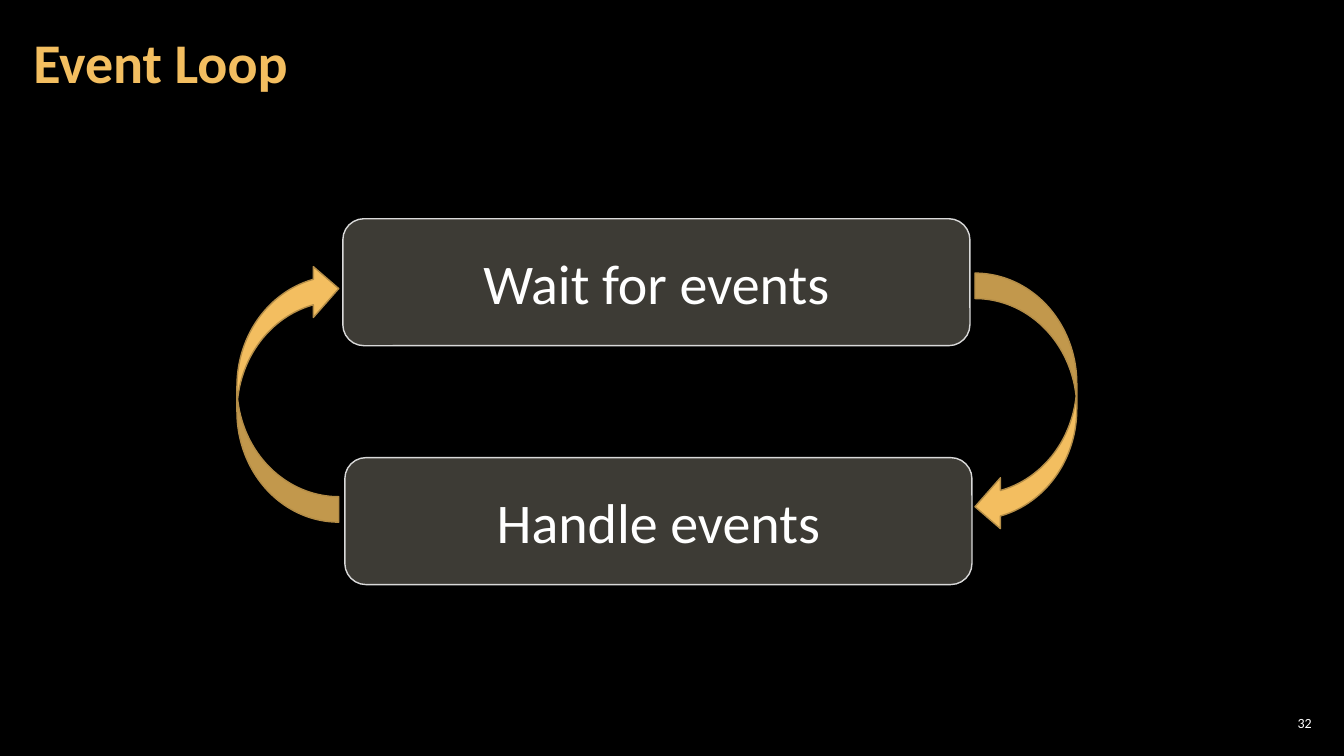
from lxml.etree import SubElement
from pptx import Presentation
from pptx.dml.color import RGBColor
from pptx.enum.shapes import MSO_SHAPE
from pptx.enum.text import MSO_ANCHOR, PP_ALIGN
from pptx.oxml.ns import qn
from pptx.util import Inches, Pt

BLACK = RGBColor(0x00, 0x00, 0x00)
WHITE = RGBColor(0xFF, 0xFF, 0xFF)
GOLD = RGBColor(0xF3, 0xBE, 0x60)
DARK_GOLD = RGBColor(0xB4, 0x8D, 0x47)
STONE = RGBColor(0xC7, 0xBF, 0xAC)
LIGHT_GRAY = RGBColor(0xD9, 0xD9, 0xD9)
FONT = "Calibri"


def write_text(shape, text, size, color, alignment, margins=(0.1, 0.05), bold=False):
    frame = shape.text_frame
    frame.word_wrap = True
    frame.vertical_anchor = MSO_ANCHOR.MIDDLE
    frame.margin_left = frame.margin_right = Inches(margins[0])
    frame.margin_top = frame.margin_bottom = Inches(margins[1])
    frame.text = text
    paragraph = frame.paragraphs[0]
    paragraph.alignment = alignment
    paragraph.font.name = FONT
    paragraph.font.size = Pt(size)
    paragraph.font.bold = bold
    paragraph.font.color.rgb = color
    return paragraph


def add_title(slide, text):
    title = slide.shapes.title
    title.left, title.top = Inches(0.21), Inches(0.04)
    title.width, title.height = Inches(10.47), Inches(1.21)
    paragraph = write_text(title, text, 40, GOLD, PP_ALIGN.LEFT, (0.12, 0.04), bold=True)
    paragraph.line_spacing = 0.9


def add_slide_number(slide, number):
    box = slide.shapes.add_textbox(Inches(12.58), Inches(7.07), Inches(0.47), Inches(0.21))
    write_text(box, number, 10, WHITE, PP_ALIGN.RIGHT, (0.04, 0.04))


def add_outlined_shape(slide, kind, left, top, width, height, fill, line):
    shape = slide.shapes.add_shape(
        kind, Inches(left), Inches(top), Inches(width), Inches(height))
    shape.shadow.inherit = False
    shape.fill.solid()
    shape.fill.fore_color.rgb = fill
    shape.line.color.rgb = line
    shape.line.width = Pt(1)
    return shape


def add_step(slide, left, top, text):
    step = add_outlined_shape(
        slide, MSO_SHAPE.ROUNDED_RECTANGLE, left, top, 6.22, 1.26, STONE, LIGHT_GRAY)
    # Let the background show through the fill
    fill_color = step.fill._xPr.find(qn("a:solidFill"))[0]
    SubElement(fill_color, qn("a:alpha"), val="31000")
    write_text(step, text, 40, WHITE, PP_ALIGN.CENTER)


def add_loop_arrow(slide, left, top, rotation=0):
    arrow = add_outlined_shape(
        slide, MSO_SHAPE.CURVED_LEFT_ARROW, left, top, 1.01, 2.57, GOLD, DARK_GOLD)
    arrow.rotation = rotation


def main():
    presentation = Presentation()
    presentation.slide_width = Inches(13.33)
    presentation.slide_height = Inches(7.5)
    slide = presentation.slides.add_slide(presentation.slide_layouts[5])
    slide.background.fill.solid()
    slide.background.fill.fore_color.rgb = BLACK

    add_title(slide, "Event Loop")
    add_slide_number(slide, "32")

    # The two steps of the loop
    add_step(slide, 3.4, 2.17, "Wait for events")
    add_step(slide, 3.42, 4.54, "Handle events")

    # Arrows down the right side and back up the left
    add_loop_arrow(slide, 9.67, 2.71)
    add_loop_arrow(slide, 2.35, 2.61, rotation=180)

    presentation.save("out.pptx")


if __name__ == "__main__":
    main()
